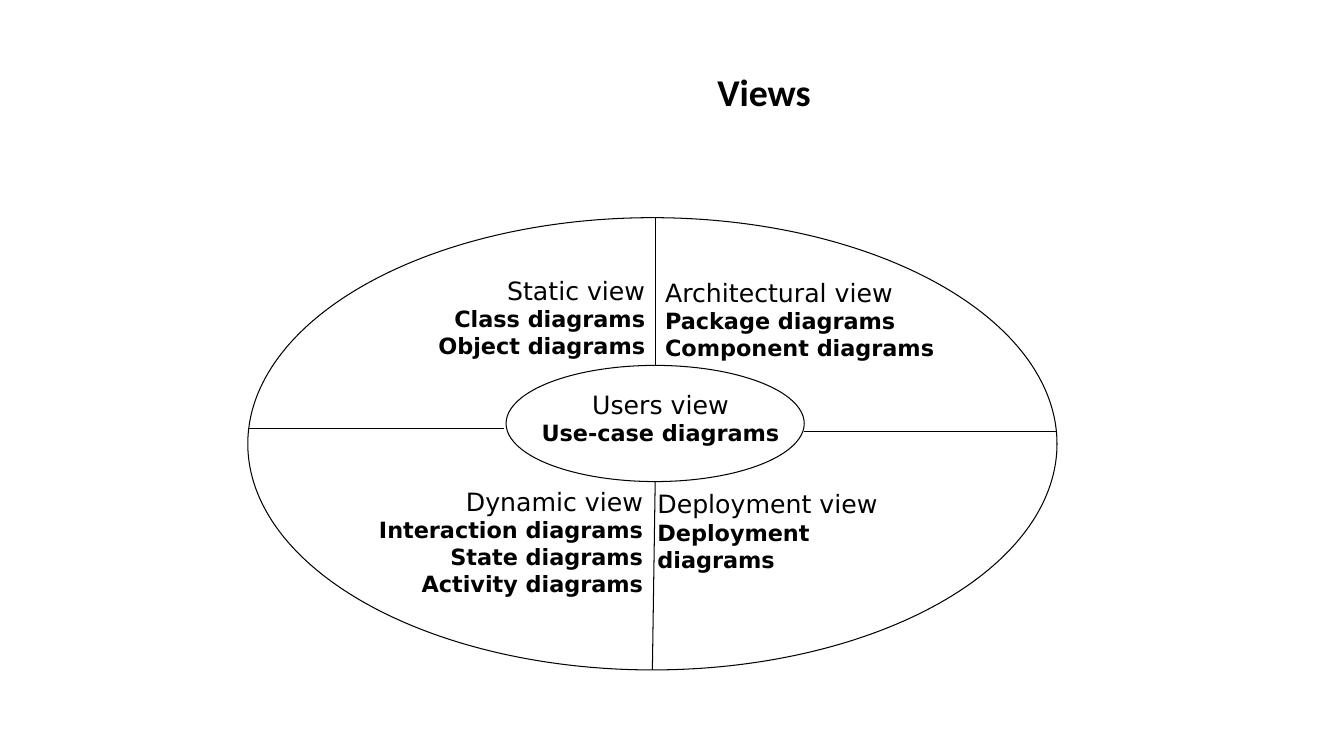
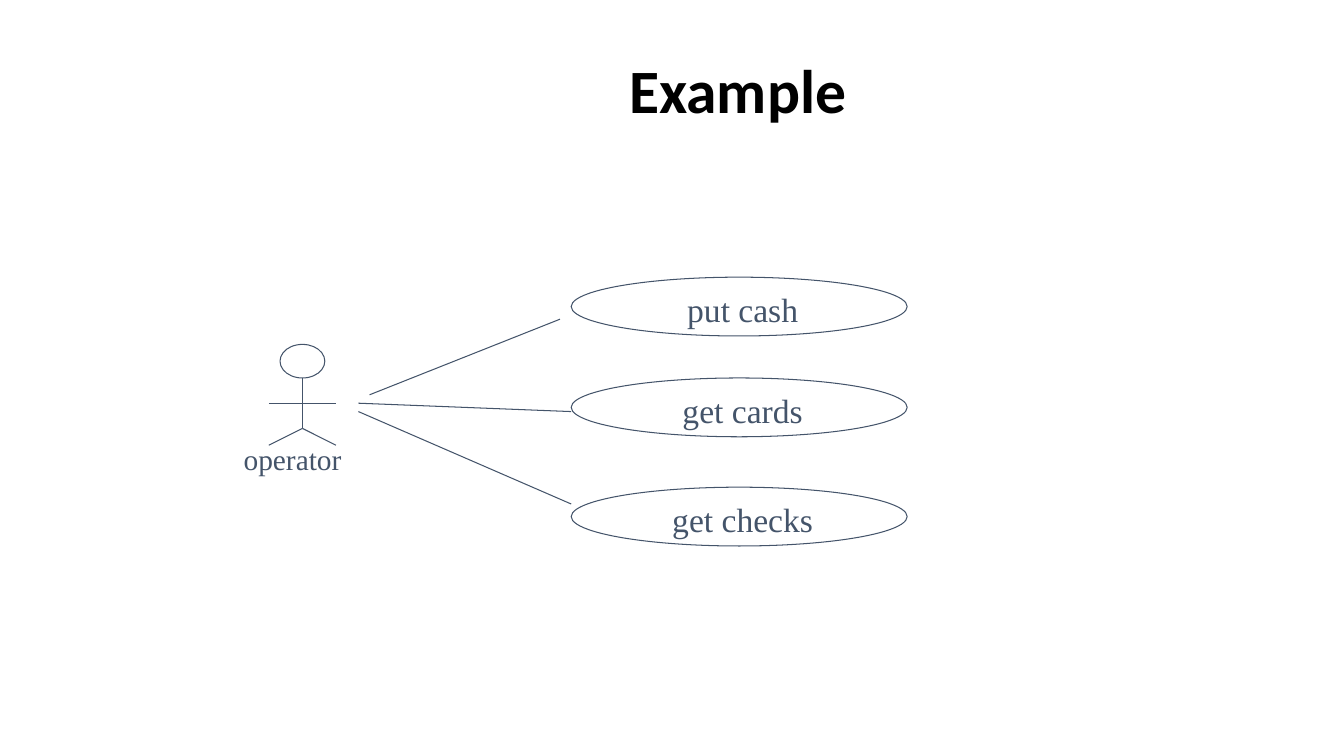
from dataclasses import dataclass
from lxml.etree import SubElement
from pptx import Presentation
from pptx.dml.color import RGBColor as RGB
from pptx.enum.shapes import MSO_CONNECTOR as Link, MSO_SHAPE as Form
from pptx.enum.text import MSO_ANCHOR as Anchor, PP_ALIGN as Align
from pptx.oxml.ns import qn
from pptx.util import Pt


@dataclass(frozen=True)
class Theme:
    black: RGB = RGB(0, 0, 0)
    slate: RGB = RGB(0x44, 0x54, 0x6A)
    head: str = "Calibri"
    sans: str = "DejaVu Sans"
    serif: str = "Times New Roman"
    view: float = 18
    chart: float = 16
    actor: float = 21
    case: float = 24
    line: float = 0.75


def apply(target, values):
    for name, value in values.items():
        setattr(target, name, value)


def points(*values):
    return [Pt(value) for value in values]


class Deck:
    def __init__(self, theme):
        self.theme = theme
        self.file = Presentation()
        apply(self.file, {"slide_width": Pt(960), "slide_height": Pt(540)})
        self.ink = theme.black

    def page(self, ink):
        """Start a slide whose lines and labels use the given ink."""
        self.ink = ink
        self.slide = self.file.slides.add_slide(self.file.slide_layouts[6])

    def pen(self, shape):
        shape.line.width = Pt(self.theme.line)
        shape.line.color.rgb = self.ink

    def label(self, shape, rows, align, pad, anchor=Anchor.TOP, space=1.0):
        """Fill a shape with rows of (text, font, size, bold)."""
        frame = shape.text_frame
        sides = ("left", "top", "right", "bottom")
        margins = {f"margin_{side}": Pt(gap) for side, gap in zip(sides, pad)}
        apply(frame, margins | {"word_wrap": False, "vertical_anchor": anchor})
        for index, (text, font, size, bold) in enumerate(rows):
            para = frame.add_paragraph() if index else frame.paragraphs[0]
            apply(para, {"alignment": align, "line_spacing": space})
            run = para.add_run()
            run.text = text
            apply(run.font, {"name": font, "size": Pt(size), "bold": bold})
            run.font.color.rgb = self.ink

    def box(self, place):
        return self.slide.shapes.add_textbox(*points(*place))

    def title(self, text, size, width, height):
        ink, self.ink = self.ink, self.theme.black
        self.label(self.box((160.5, 29, width, height)),
                   [(text, self.theme.head, size, True)], Align.CENTER,
                   (7.2, 3.6, 7.2, 3.6), Anchor.MIDDLE, 0.9)
        self.ink = ink

    def oval(self, *place):
        shape = self.slide.shapes.add_shape(Form.OVAL, *points(*place))
        shape.shadow.inherit = False
        shape.fill.background()
        self.pen(shape)
        return shape

    def rule(self, *ends):
        link = self.slide.shapes.add_connector(Link.STRAIGHT, *points(*ends))
        self.pen(link)
        SubElement(link._element.spPr, qn("a:effectLst"))

    def view(self, place, align, name, *charts):
        """Name a view and list its diagrams in bold below."""
        look = self.theme
        rows = [(name, look.sans, look.view, False)]
        rows += [(f"{chart} diagrams", look.sans, look.chart, True)
                 for chart in charts]
        self.label(self.box(place), rows, align, (3.6,) * 4)

    def actor(self, x, y, name):
        """Draw a stick figure from its head's top centre."""
        hip, foot, arm = y + 60, y + 72, 24
        self.oval(x - 16, y, 32, 24)
        self.rule(x, y + 24, x, hip)
        for side in (-arm, arm):
            self.rule(x, hip, x + side, foot)
        self.rule(x - arm, y + 42, x + arm, y + 42)
        look = self.theme
        self.label(self.box((x - 48, y + 66, 83, 32)),
                   [(name, look.serif, look.actor, False)],
                   Align.LEFT, (6, 3, 6, 3))

    def case(self, top, name):
        look = self.theme
        self.label(self.oval(408, top, 240, 42),
                   [(name, look.serif, look.case, False)],
                   Align.CENTER, (5, 3.5, 0, 0), Anchor.MIDDLE)


def views(deck):
    deck.page(deck.theme.black)
    deck.title("Views", 27, 770.5, 77)
    deck.oval(177, 155.5, 578, 323)
    deck.oval(361.5, 261, 213, 83)
    for ends in ((468, 155.5, 468, 261), (468, 344, 466, 478.5),
                 (178, 306, 360, 306), (574, 308, 755, 308)):
        deck.rule(*ends)
    for place, align, *words in (
        ((309, 193, 155.5, 67), Align.RIGHT,
         "Static view", "Class", "Object"),
        ((466, 345.5, 205, 48), Align.LEFT,
         "Deployment view", "Deployment"),
        ((259, 343.5, 204, 86), Align.RIGHT,
         "Dynamic view", "Interaction", "State", "Activity"),
        ((382.5, 274.5, 178.5, 48), Align.CENTER,
         "Users view", "Use-case"),
        ((471.5, 194.5, 199.5, 67), Align.LEFT,
         "Architectural view", "Package", "Component"),
    ):
        deck.view(place, align, *words)


def example(deck):
    deck.page(deck.theme.slate)
    deck.title("Example", 44, 733, 75)
    deck.actor(216, 246, "operator")
    for top, name, ends in (
        (198, "put cash", (264, 282, 400, 228)),
        (270, "get cards", (256, 288, 408, 294)),
        (348, "get checks", (256, 294, 408, 360)),
    ):
        deck.case(top, name)
        deck.rule(*ends)


def main():
    deck = Deck(Theme())
    views(deck)
    example(deck)
    deck.file.save("out.pptx")


if __name__ == "__main__":
    main()
